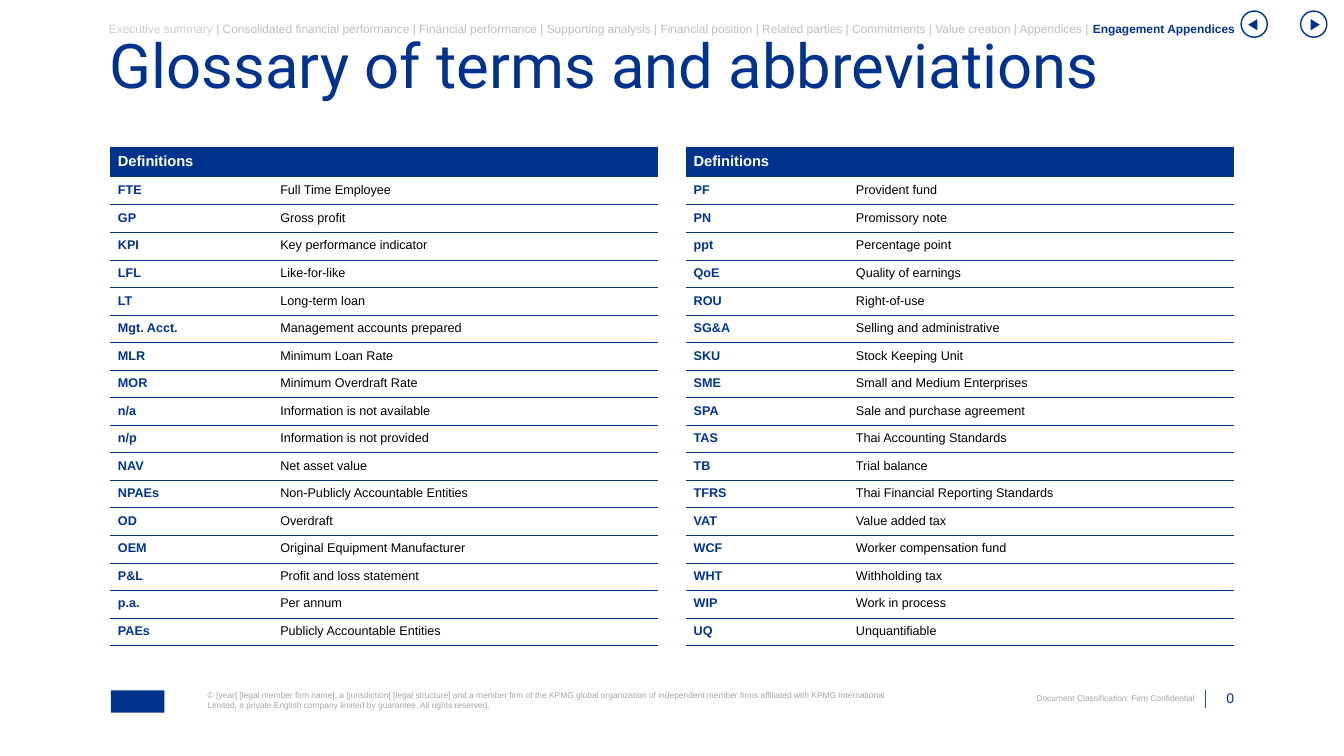
from lxml.etree import SubElement
from pptx import Presentation
from pptx.dml.color import RGBColor
from pptx.enum.shapes import MSO_CONNECTOR, MSO_SHAPE
from pptx.enum.text import MSO_ANCHOR, PP_ALIGN
from pptx.oxml import parse_xml
from pptx.oxml.ns import nsdecls, qn
from pptx.util import Inches, Pt

COLORS = {"navy": "00338D", "blue": "1E49E2", "white": "FFFFFF", "black": "000000",
          "grey": "A6A6A6", "silver": "BFBFBF", "pale": "CDCDCD"}
RGB = {name: RGBColor.from_string(value) for name, value in COLORS.items()}

LEFT, TOP = 1.09, 1.46
COLUMNS = (1.61, 3.83)
TABLE_W, GUTTER = sum(COLUMNS), 0.27
HEADER_H, BODY_H = 0.3, 4.65
FOOTER_Y = 6.85
NO_STYLE = "{2D5ABB26-0587-4C30-8999-92F81FD0307C}"

GLOSSARY = [
    [("FTE", "Full Time Employee"), ("GP", "Gross profit"),
     ("KPI", "Key performance indicator"), ("LFL", "Like-for-like"),
     ("LT", "Long-term loan"), ("Mgt. Acct.", "Management accounts prepared"),
     ("MLR", "Minimum Loan Rate"), ("MOR", "Minimum Overdraft Rate"),
     ("n/a", "Information is not available"), ("n/p", "Information is not provided"),
     ("NAV", "Net asset value"), ("NPAEs", "Non-Publicly Accountable Entities"),
     ("OD", "Overdraft"), ("OEM", "Original Equipment Manufacturer"),
     ("P&L", "Profit and loss statement"), ("p.a.", "Per annum"),
     ("PAEs", "Publicly Accountable Entities")],
    [("PF", "Provident fund"), ("PN", "Promissory note"), ("ppt", "Percentage point"),
     ("QoE", "Quality of earnings"), ("ROU", "Right-of-use"),
     ("SG&A", "Selling and administrative"), ("SKU", "Stock Keeping Unit"),
     ("SME", "Small and Medium Enterprises"), ("SPA", "Sale and purchase agreement"),
     ("TAS", "Thai Accounting Standards"), ("TB", "Trial balance"),
     ("TFRS", "Thai Financial Reporting Standards"), ("VAT", "Value added tax"),
     ("WCF", "Worker compensation fund"), ("WHT", "Withholding tax"),
     ("WIP", "Work in process"), ("UQ", "Unquantifiable"), ("", "")],
]


def style(p, size, color, bold=False, font="Arial"):
    p.font.size, p.font.name, p.font.bold = Pt(size), font, bold
    p.font.color.rgb = RGB[color]


def add_text(box, text, size, color, font="Arial", align=PP_ALIGN.LEFT):
    """Add a text box without insets and return its text frame."""
    tf = slide.shapes.add_textbox(*map(Inches, box)).text_frame
    tf.word_wrap = True
    tf.margin_left = tf.margin_right = tf.margin_top = tf.margin_bottom = 0
    p = tf.paragraphs[0]
    p.text, p.alignment = text, align
    style(p, size, color, font=font)
    return tf


prs = Presentation()
prs.slide_width, prs.slide_height = Inches(13.33), Inches(7.5)
slide = prs.slides.add_slide(prs.slide_layouts[6])

# Footer
tf = add_text((11.97, FOOTER_Y, 0.27, 0.16), "0", 10, "navy", align=PP_ALIGN.RIGHT)
tf.vertical_anchor = MSO_ANCHOR.BOTTOM
add_text((9.81, 6.88, 2.04, 0.1), "Document Classification: Firm Confidential", 6, "grey",
         align=PP_ALIGN.RIGHT)
add_text((2.06, FOOTER_Y, 6.94, 0.2),
         "© [year] [legal member firm name], a [jurisdiction] [legal structure] and a member "
         "firm of the KPMG global organization of independent member firms affiliated with "
         "KPMG International Limited, a private English company limited by guarantee. "
         "All rights reserved.", 6, "grey")
emblem = slide.shapes.add_shape(MSO_SHAPE.RECTANGLE, Inches(1.1), Inches(FOOTER_Y),
                                Inches(0.53), Inches(0.22))
emblem.shadow.inherit = False
emblem.fill.solid()
emblem.fill.fore_color.rgb = RGB["navy"]
emblem.line.fill.background()
divider = slide.shapes.add_connector(MSO_CONNECTOR.STRAIGHT, Inches(11.95), Inches(FOOTER_Y),
                                     Inches(11.95), Inches(7.02))
divider.line.color.rgb, divider.line.width = RGB["blue"], Pt(0.5)
SubElement(divider._element.spPr, qn("a:effectLst"))

# Title and section trail
tf = add_text((LEFT, 0.47, 11.15, 0.58), "Glossary of terms and abbreviations", 44, "navy",
              font="Roboto")
tf.paragraphs[0].line_spacing = 0.7
p = add_text((1.08, 0.2, 11.22, 0.15), "", 8.5, "silver").paragraphs[0]
p.line_spacing = 1.1
for text, color, bold in [
        ("Executive summary ", "pale", False),
        ("| Consolidated financial performance | Financial performance | Supporting analysis "
         "| Financial position | Related parties | Commitments | Value creation "
         "| Appendices | ", "silver", False),
        ("Engagement Appendices", "navy", True)]:
    r = p.add_run()
    r.text, r.font.bold = text, bold
    r.font.color.rgb = RGB[color]

# Previous and next buttons
for x, arrow_x, rotation in [(12.31, 12.37, 270), (12.9, 12.99, 90)]:
    arrow = slide.shapes.add_shape(MSO_SHAPE.ISOSCELES_TRIANGLE, Inches(arrow_x), Inches(0.2),
                                   Inches(0.11), Inches(0.09))
    arrow.rotation = rotation
    arrow.shadow.inherit = False
    arrow.fill.solid()
    arrow.fill.fore_color.rgb = RGB["navy"]
    arrow.line.fill.background()
    ring = slide.shapes.add_shape(MSO_SHAPE.OVAL, Inches(x), Inches(0.11),
                                  Inches(0.26), Inches(0.26))
    ring.shadow.inherit = False
    ring.fill.background()
    ring.line.color.rgb, ring.line.width = RGB["navy"], Pt(1)

# Glossary tables
row_h = BODY_H / len(GLOSSARY[0])
for i, terms in enumerate(GLOSSARY):
    frame = slide.shapes.add_table(
        len(terms) + 1, len(COLUMNS), Inches(LEFT + i * (TABLE_W + GUTTER)), Inches(TOP),
        Inches(TABLE_W), Inches(HEADER_H + row_h * len(terms)))
    table = frame.table
    table.horz_banding = False
    table._tbl.tblPr.find(qn("a:tableStyleId")).text = NO_STYLE
    for column, width in zip(table.columns, COLUMNS):
        column.width = Inches(width)
    table.cell(0, 0).merge(table.cell(0, 1))
    for n, texts in enumerate([("Definitions", "")] + terms):
        table.rows[n].height = Inches(row_h if n else HEADER_H)
        for c, text in enumerate(texts):
            cell = table.cell(n, c)
            cell.margin_left = cell.margin_right = Inches(0.08)
            cell.margin_top = cell.margin_bottom = Inches(0.06)
            p = cell.text_frame.paragraphs[0]
            p.text = text
            if n == 0:
                style(p, 10.5, "white", bold=True)
                cell.fill.solid()
                cell.fill.fore_color.rgb = RGB["navy"]
                continue
            style(p, 9, "black" if c else "navy", bold=c == 0)
            cell.fill.background()
            if text:
                cell._tc.get_or_add_tcPr().insert(0, parse_xml(
                    f'<a:lnB {nsdecls("a")} w="{Pt(0.75)}"><a:solidFill>'
                    f'<a:srgbClr val="{COLORS["navy"]}"/></a:solidFill></a:lnB>'))

prs.save("out.pptx")
